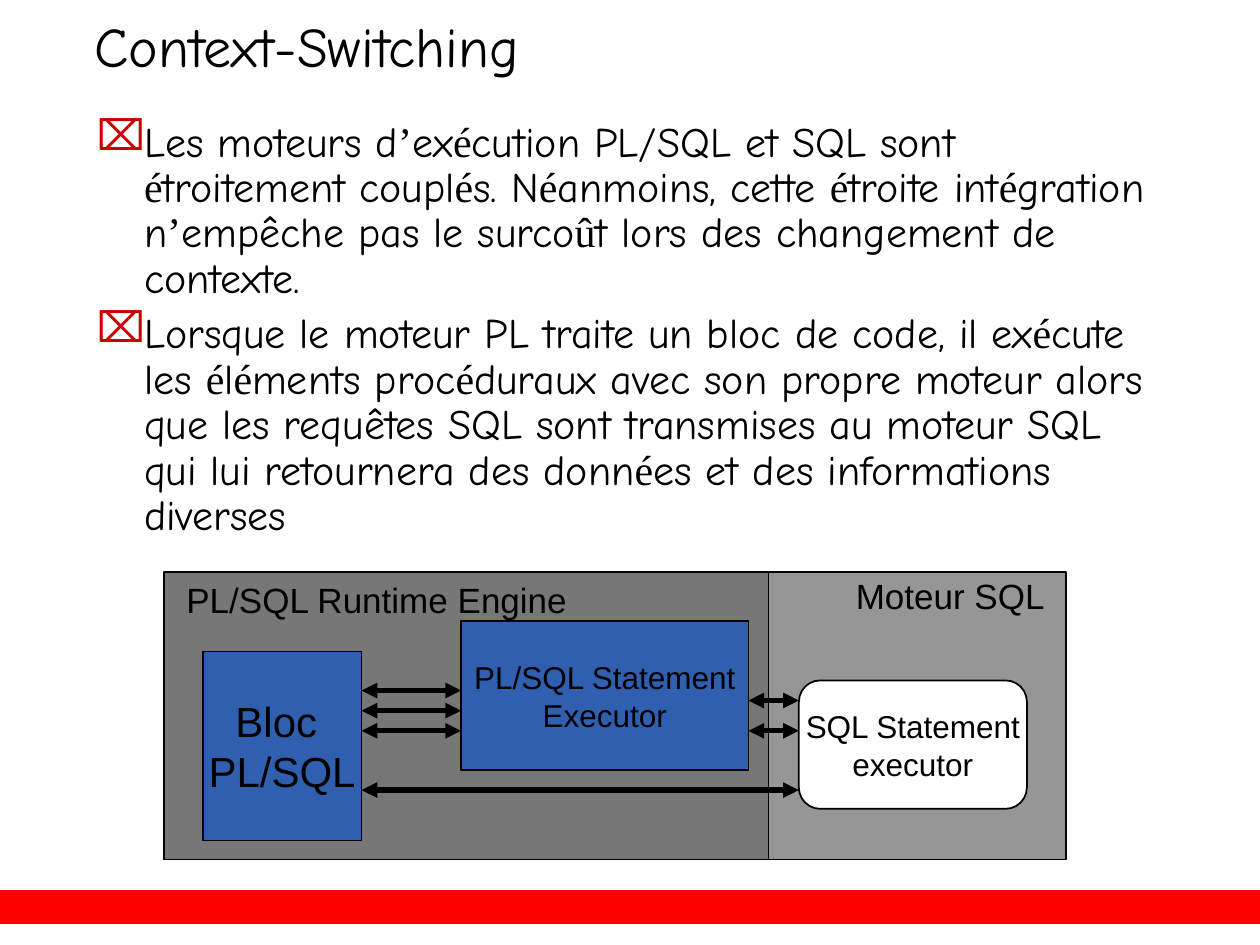
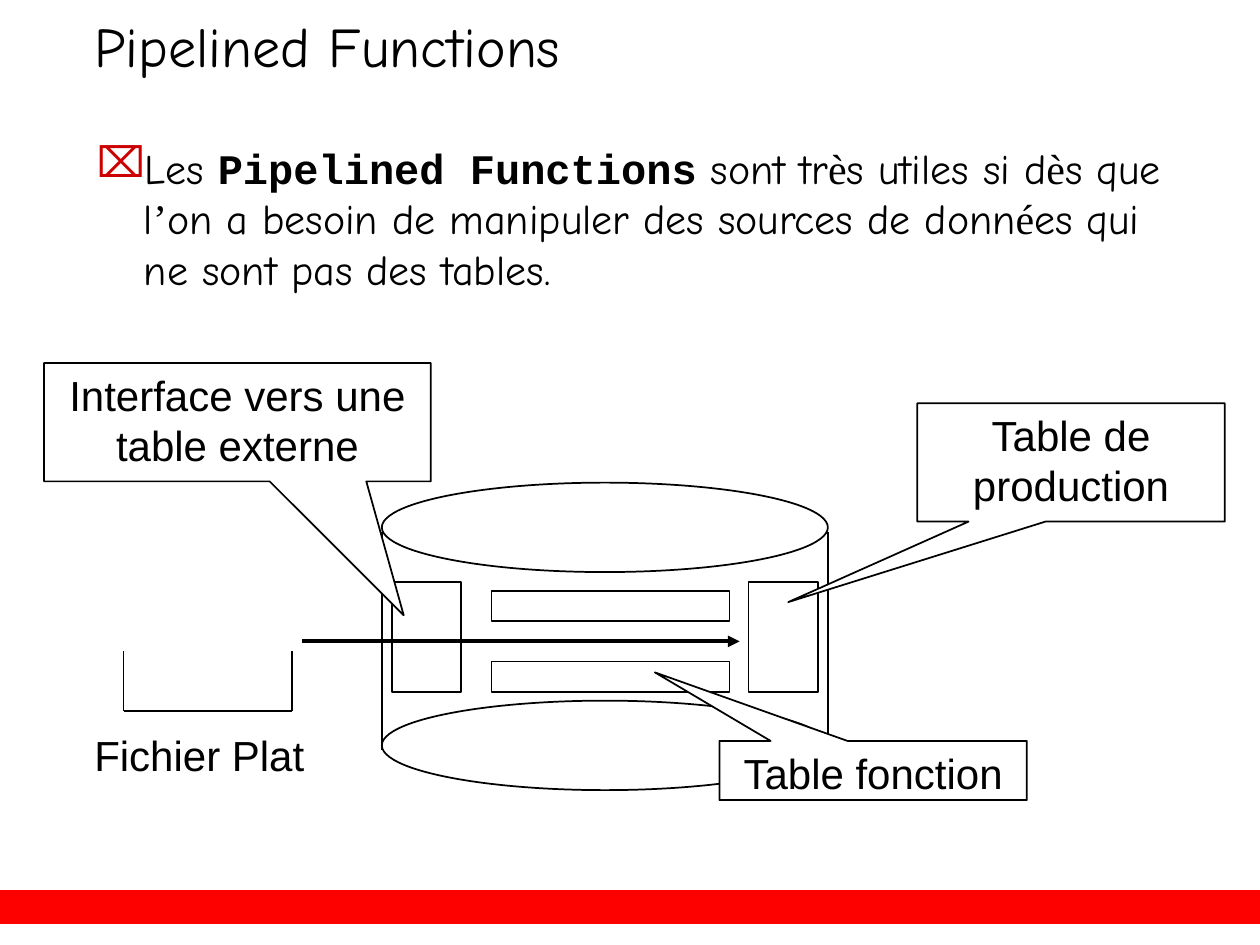
from itertools import groupby

from lxml import etree
from pptx import Presentation
from pptx.dml.color import RGBColor
from pptx.enum.shapes import MSO_CONNECTOR, MSO_SHAPE
from pptx.enum.text import MSO_ANCHOR, MSO_AUTO_SIZE, PP_ALIGN
from pptx.oxml.ns import qn
from pptx.util import Pt

BLACK = RGBColor(0x00, 0x00, 0x00)
WHITE = RGBColor(0xFF, 0xFF, 0xFF)
BAND_RED = RGBColor(0xFD, 0x00, 0x00)
BULLET_RED = RGBColor(0xCC, 0x00, 0x00)
ENGINE_GRAY = RGBColor(0x77, 0x77, 0x77)
SQL_GRAY = RGBColor(0x96, 0x96, 0x96)
BLUE = RGBColor(0x31, 0x5F, 0xAF)

RECT = MSO_SHAPE.RECTANGLE
ELLIPSE = MSO_SHAPE.OVAL
ROUNDED = MSO_SHAPE.FLOWCHART_ALTERNATE_PROCESS
CALLOUT = MSO_SHAPE.RECTANGULAR_CALLOUT
STRAIGHT = MSO_CONNECTOR.STRAIGHT
LEFT, CENTER, RIGHT = PP_ALIGN.LEFT, PP_ALIGN.CENTER, PP_ALIGN.RIGHT
TOP, MIDDLE = MSO_ANCHOR.TOP, MSO_ANCHOR.MIDDLE
NO_AUTOFIT = MSO_AUTO_SIZE.NONE

HAND, SANS, SERIF, MONO = "Comic Neue", "Arial", "Times New Roman", "Courier New"
SERIF_CHARS = "éèû’"
HANG = 27


def add_bullet(p):
    pPr = p._p.get_or_add_pPr()
    pPr.set("marL", str(Pt(HANG)))
    pPr.set("indent", str(-Pt(HANG)))
    color = etree.SubElement(pPr, qn("a:buClr"))
    etree.SubElement(color, qn("a:srgbClr"), val=str(BULLET_RED))
    etree.SubElement(pPr, qn("a:buChar"), char="⌧")


def split_runs(text, font):
    for i, part in enumerate(text.split("*")):
        if i % 2:
            yield part, MONO, True
        elif font == HAND:
            for serif, chars in groupby(part, lambda c: c in SERIF_CHARS):
                yield "".join(chars), SERIF if serif else HAND, False
        else:
            yield part, font, False


def write(tf, text, size=24, font=SANS, align=LEFT, anchor=TOP, wrap=True,
          spacing=None, before=0, bullet=False):
    tf.auto_size = NO_AUTOFIT
    tf.word_wrap = wrap
    tf.vertical_anchor = anchor
    for i, line in enumerate(text.split("\n")):
        p = tf.add_paragraph() if i else tf.paragraphs[0]
        if bullet:
            add_bullet(p)
        p.alignment = align
        p.space_before = Pt(before if i else 0)
        if spacing:
            p.line_spacing = spacing
        for content, name, bold in split_runs(line, font):
            r = p.add_run()
            r.text = content
            r.font.name = name
            r.font.size = Pt(size)
            r.font.bold = bold
            r.font.color.rgb = BLACK


def add_label(s, box, text, **fmt):
    tf = s.shapes.add_textbox(*map(Pt, box)).text_frame
    write(tf, text, **fmt)


def add_box(s, kind, box, fill=WHITE, line=BLACK, text=None, **fmt):
    sp = s.shapes.add_shape(kind, *map(Pt, box))
    sp.shadow.inherit = False
    sp.fill.solid()
    sp.fill.fore_color.rgb = fill
    sp.line.color.rgb = line
    sp.line.width = Pt(1)
    if text:
        write(sp.text_frame, text, align=CENTER, **fmt)
    return sp


def add_line(s, x1, y1, x2, y2, width=1, heads=()):
    cn = s.shapes.add_connector(STRAIGHT, Pt(x1), Pt(y1), Pt(x2), Pt(y2))
    cn.line.color.rgb = BLACK
    cn.line.width = Pt(width)
    for end in heads:
        etree.SubElement(cn.line._get_or_add_ln(), qn(end), type="triangle")
    etree.SubElement(cn._element.spPr, qn("a:effectLst"))


def add_slide(prs, title):
    s = prs.slides.add_slide(prs.slide_layouts[5])
    add_box(s, RECT, (0, 509, 720, 18.7), fill=BAND_RED, line=BAND_RED)
    sp = s.shapes.title
    sp.left, sp.top, sp.width, sp.height = map(Pt, (54, 12.2, 588, 42))
    tf = sp.text_frame
    tf.margin_left = tf.margin_top = tf.margin_right = tf.margin_bottom = 0
    write(tf, title, size=32, font=HAND, spacing=0.85)
    return s


def draw_engines(s, x, y):
    def at(dx, dy, w, h):
        return x + dx, y + dy, w, h

    add_box(s, RECT, at(0, 0, 345.6, 164.2), fill=ENGINE_GRAY)
    add_box(s, RECT, at(345.6, 0, 169.9, 164.2), fill=SQL_GRAY)
    for kind, box, fill, text, size in (
        (RECT, (169.9, 28.1, 164.2, 85), BLUE, "PL/SQL Statement\nExecutor", 18),
        (RECT, (22.3, 45.4, 90.7, 108), BLUE, "Bloc \nPL/SQL", 24),
        (ROUNDED, (362.9, 61.9, 130.3, 73.4), WHITE, "SQL Statement\nexecutor", 18),
    ):
        add_box(s, kind, at(*box), fill=fill, text=text, size=size,
                anchor=MIDDLE, wrap=False)
    add_label(s, at(358.6, -2.2, 151.9, 31.7), "Moteur SQL", size=20, align=RIGHT)
    add_label(s, at(5.8, 0, 329, 31.7), "PL/SQL Runtime Engine", size=20)

    block_right, plsql_left, plsql_right, sql_left = 113, 169.9, 334.1, 362.9
    for start, end, rows in (
        (block_right, plsql_left, (67.7, 79.2, 90.7)),
        (plsql_right, sql_left, (73.4, 90.7)),
        (block_right, sql_left, (124.6,)),
    ):
        for row in rows:
            add_line(s, x + start, y + row, x + end, y + row, width=3,
                     heads=("a:headEnd", "a:tailEnd"))


def draw_database(s, x, y, w, h):
    lid = 51.1
    for top in (0, h - lid):
        add_box(s, ELLIPSE, (x, y + top, w, lid))
    for side in (x, x + w):
        add_line(s, side, y + 28.1, side, y + 152.6)
    for top in (61.9, 102.2):
        add_box(s, RECT, (x + 62.6, y + top, 136.1, 17.3))
    for left in (5.7, 209.5):
        add_box(s, RECT, (x + left, y + 56.9, 39.6, 62.6))


def draw_flat_file(s, x, y, w, h):
    add_line(s, x, y, x, y + h)
    add_line(s, x, y + h, x + w, y + h)
    add_line(s, x + w, y, x + w, y + h)
    add_label(s, (x - 23.8, y + h + 7.2, 133.9, 36), "Fichier Plat", wrap=False)


def draw_pipeline(s, x, y):
    draw_database(s, x + 193, y + 68.4, 254.9, 175.7)
    draw_flat_file(s, x + 45.4, y + 164.9, 96.4, 33.8)
    for dx, dy, w, h, tip, text in (
        (0, 0, 221, 67.7, (0.43, 1.63), "Interface vers une table externe"),
        (499, 23, 175.7, 67.7, (-0.92, 1.18), "Table de production"),
        (385.9, 216, 175.7, 33.8, (-0.71, -1.66), "Table fonction"),
    ):
        sp = add_box(s, CALLOUT, (x + dx, y + dy, w, h), text=text)
        sp.adjustments[0], sp.adjustments[1] = tip
    add_line(s, x + 147.6, y + 159.1, x + 397.4, y + 159.1, width=2.25,
             heads=("a:tailEnd",))


def context_slide(prs):
    s = add_slide(prs, "Context-Switching")
    add_label(
        s, (48.2, 65.5, 617.8, 321),
        "Les moteurs d’exécution PL/SQL et SQL sont étroitement couplés. "
        "Néanmoins, cette étroite intégration n’empêche pas le surcoût lors "
        "des changement de contexte.\n"
        "Lorsque le moteur PL traite un bloc de code, il exécute les éléments "
        "procéduraux avec son propre moteur alors que les requêtes SQL sont "
        "transmises au moteur SQL qui lui retournera des données et des "
        "informations diverses",
        font=HAND, spacing=0.9, before=6, bullet=True)
    draw_engines(s, 93.6, 326.9)


def pipelined_slide(prs):
    s = add_slide(prs, "Pipelined Functions")
    add_label(
        s, (48.2, 77.8, 640.8, 321),
        "Les *Pipelined Functions* sont très utiles si dès que l’on a besoin "
        "de manipuler des sources de données qui ne sont pas des tables.",
        font=HAND, bullet=True)
    draw_pipeline(s, 25.2, 207.4)


def main():
    prs = Presentation()
    prs.slide_width, prs.slide_height = Pt(720), Pt(540)
    context_slide(prs)
    pipelined_slide(prs)
    prs.save("out.pptx")


if __name__ == "__main__":
    main()
